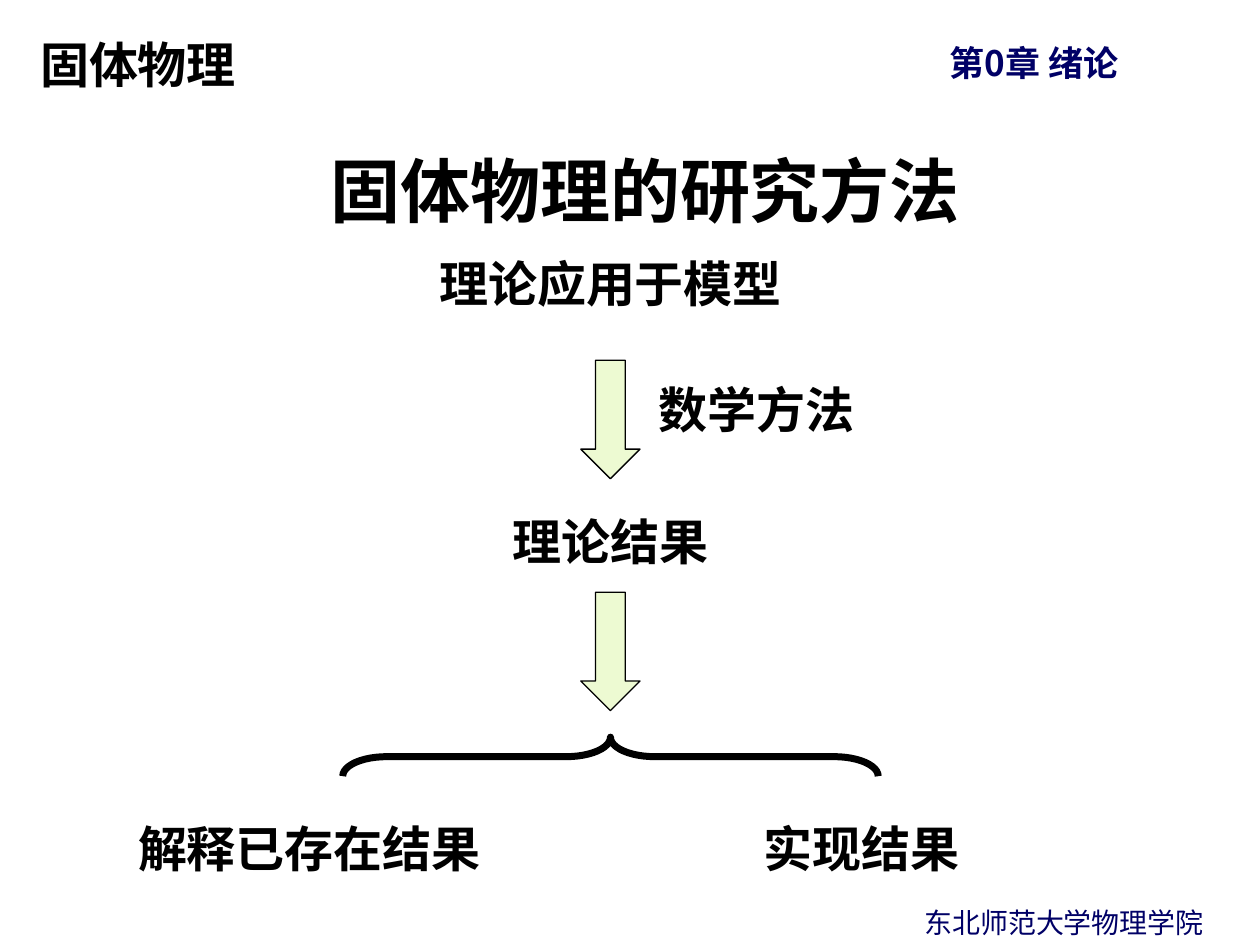
from dataclasses import dataclass

from lxml import etree
from pptx import Presentation
from pptx.dml.color import RGBColor
from pptx.enum.shapes import MSO_SHAPE
from pptx.enum.text import MSO_ANCHOR, MSO_AUTO_SIZE, PP_ALIGN
from pptx.oxml.ns import qn
from pptx.util import Inches, Pt

ARROW = MSO_SHAPE.DOWN_ARROW
BRACE = MSO_SHAPE.RIGHT_BRACE
TOP, MIDDLE = MSO_ANCHOR.TOP, MSO_ANCHOR.MIDDLE
LEFT, CENTER = PP_ALIGN.LEFT, PP_ALIGN.CENTER
FIXED = MSO_AUTO_SIZE.NONE
COLS, ROWS = 100, 75


@dataclass(frozen=True)
class Theme:
    ink: str = "000000"
    navy: str = "000066"
    green: str = "EDFAD2"
    font: str = "Noto Sans CJK SC"
    latin: str = "Montserrat"
    title: int = 40
    label: int = 28
    head: int = 20
    foot: int = 16


THEME = Theme()


def write(frame, text, size=THEME.label, color=THEME.ink, bold=True,
          font=THEME.font, align=LEFT, anchor=TOP, space=1.0):
    frame.word_wrap = True
    frame.auto_size = FIXED
    frame.vertical_anchor = anchor
    line = frame.paragraphs[0]
    line.alignment = align
    line.line_spacing = space
    line.space_before = Pt(0)
    run = line.add_run()
    run.text = text
    run.font.size = Pt(size)
    run.font.bold = bold
    run.font.color.rgb = RGBColor.from_string(color)
    run.font.name = font
    east = etree.SubElement(run.font._element, qn("a:ea"))
    east.set("typeface", THEME.font)


class Deck:
    def __init__(self, theme):
        self.theme = theme
        self.file = Presentation()
        self.file.slide_width = Inches(10)
        self.file.slide_height = Inches(7.5)
        self.slide = self.file.slides.add_slide(self.file.slide_layouts[5])

    def area(self, col, row, wide, high):
        across = self.file.slide_width / COLS
        down = self.file.slide_height / ROWS
        return (round(col * across), round(row * down),
                round(wide * across), round(high * down))

    def title(self, text, *box):
        shape = self.slide.shapes.title
        shape.left, shape.top, shape.width, shape.height = self.area(*box)
        write(shape.text_frame, text, size=self.theme.title,
              align=CENTER, anchor=MIDDLE)

    def text(self, text, *box, **style):
        shape = self.slide.shapes.add_textbox(*self.area(*box))
        write(shape.text_frame, text, **style)

    def label(self, text, mid, row):
        wide = 29.5
        self.text(text, mid - wide / 2, row, wide, 5.7, align=CENTER)

    def shape(self, kind, *box, weight):
        shape = self.slide.shapes.add_shape(kind, *self.area(*box))
        shape.shadow.inherit = False
        shape.line.color.rgb = RGBColor.from_string(self.theme.ink)
        shape.line.width = Pt(weight)
        return shape

    def arrow(self, mid, row):
        wide = 4.7
        shape = self.shape(ARROW, mid - wide / 2, row, wide, 2 * wide,
                           weight=0.75)
        shape.fill.solid()
        shape.fill.fore_color.rgb = RGBColor.from_string(self.theme.green)

    def brace(self, mid, row, span, depth):
        shape = self.shape(BRACE, mid - depth / 2, row - span / 2,
                           depth, span, weight=4)
        shape.fill.background()
        shape.rotation = 270
        shape.adjustments[0] = 1.13
        shape.adjustments[1] = 0.5


def main():
    deck = Deck(THEME)
    deck.text("第0章 绪论", 74.4, 2.8, 25.6, 4.3,
              size=THEME.head, color=THEME.navy)
    deck.text("固体物理", 2.2, 1, 79.5, 6.9,
              font=THEME.latin, anchor=MIDDLE, space=1.25)
    deck.text("东北师范大学物理学院", 68.9, 71.4, 31.1, 3.6,
              size=THEME.foot, color=THEME.navy, bold=False, align=CENTER)
    deck.title("固体物理的研究方法", 8.3, 11.2, 85.8, 7.7)

    axis = 48.45
    for row in (28.6, 47):
        deck.arrow(axis, row)
    deck.brace(axis, 60.05, span=42.5, depth=3.1)
    for text, mid, row in (
        ("理论应用于模型", axis, 19.6),
        ("数学方法", 60.05, 29.6),
        ("理论结果", axis, 40.1),
        ("解释已存在结果", 24.55, 64.5),
        ("实现结果", 68.35, 64.5),
    ):
        deck.label(text, mid, row)
    deck.file.save("out.pptx")


if __name__ == "__main__":
    main()
